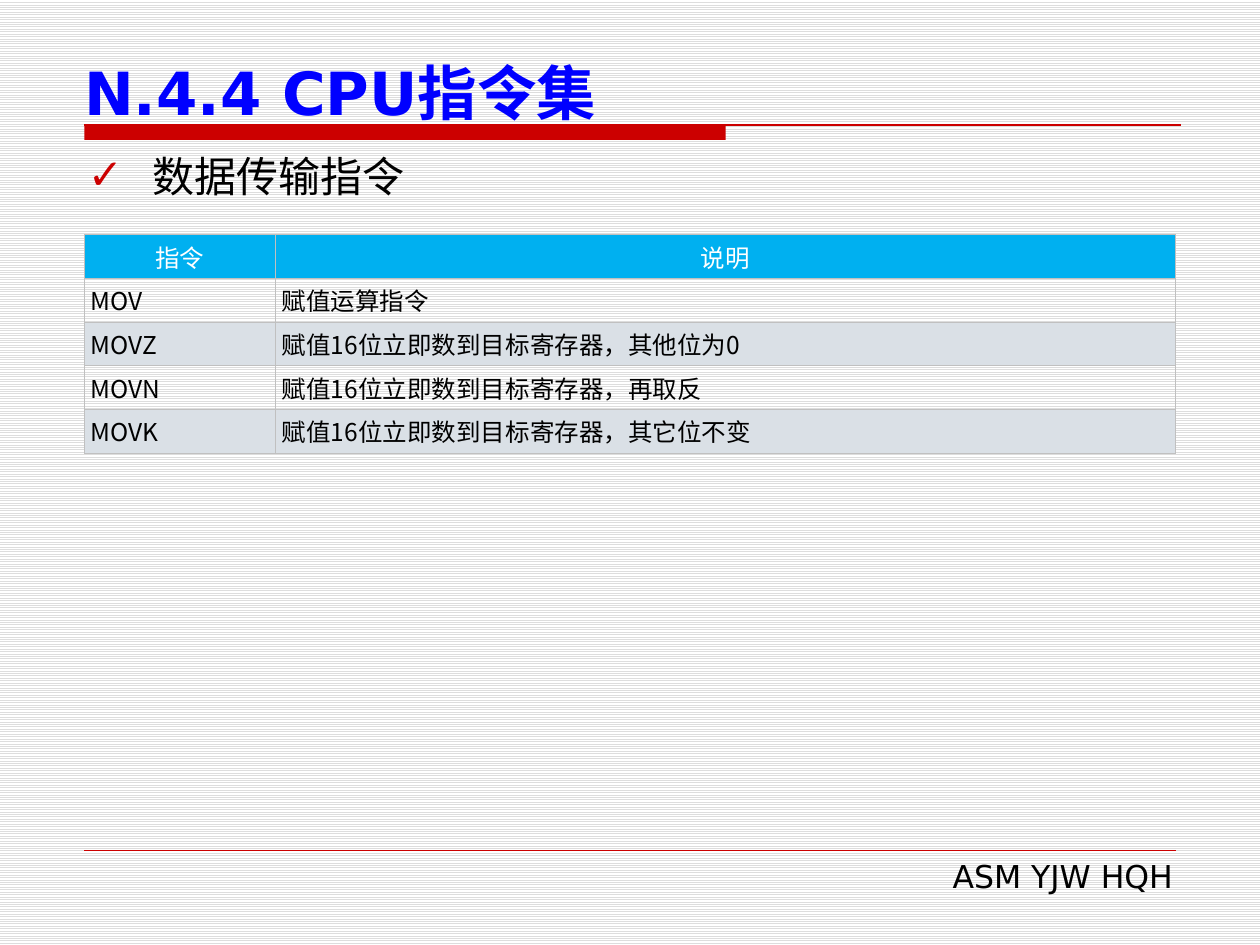
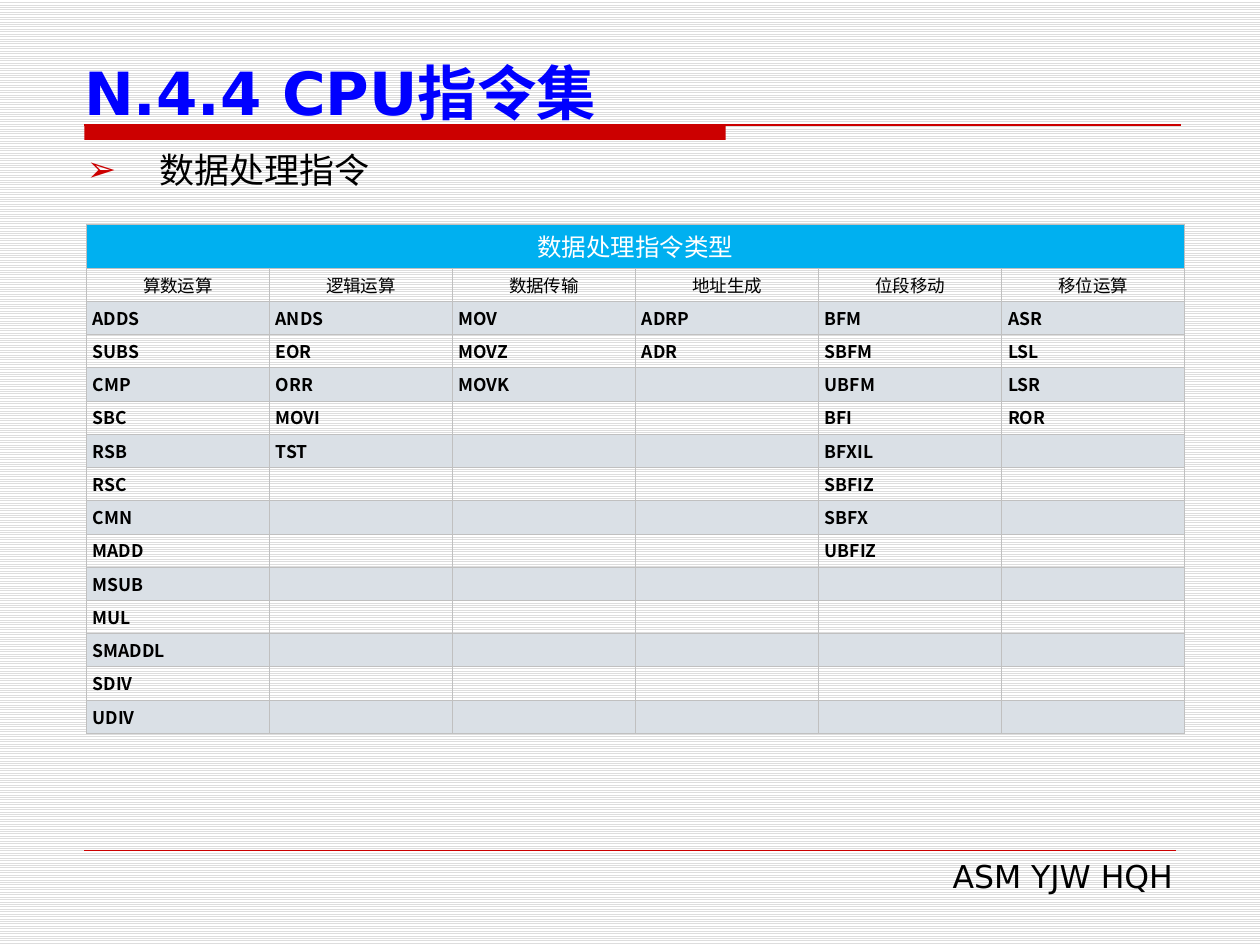
from itertools import zip_longest

from lxml import etree
from pptx import Presentation
from pptx import util as u
from pptx.dml.color import RGBColor
from pptx.enum import dml, shapes, text
from pptx.oxml.ns import qn

COLORS = {
    "red": "CC0000", "blue": "0000FF", "black": "000000", "white": "FFFFFF",
    "stripe": "DDDDDD", "header": "00B0F0", "band": "DAE0E6", "border": "C0C0C0",
}
LATIN, CJK = "DejaVu Sans", "Noto Sans CJK SC"
TITLE = "N.4.4 CPU指令集"
FOOTER = "ASM YJW HQH"
CENTER, RIGHT, JUSTIFY = (text.PP_ALIGN.CENTER, text.PP_ALIGN.RIGHT,
                          text.PP_ALIGN.JUSTIFY)

TRANSFER_ROWS = [
    ("MOV", "赋值运算指令"),
    ("MOVZ", "赋值16位立即数到目标寄存器，其他位为0"),
    ("MOVN", "赋值16位立即数到目标寄存器，再取反"),
    ("MOVK", "赋值16位立即数到目标寄存器，其它位不变"),
]
PROCESSING_GROUPS = {
    "算数运算": "ADDS SUBS CMP SBC RSB RSC CMN MADD MSUB MUL SMADDL SDIV UDIV",
    "逻辑运算": "ANDS EOR ORR MOVI TST",
    "数据传输": "MOV MOVZ MOVK",
    "地址生成": "ADRP ADR",
    "位段移动": "BFM SBFM UBFM BFI BFXIL SBFIZ SBFX UBFIZ",
    "移位运算": "ASR LSL LSR ROR",
}


def rgb(name):
    return RGBColor.from_string(COLORS[name])


def write(tf, content, size, font=CJK, color="black", bold=False, align=None):
    """Put one formatted run in the first paragraph of a text frame."""
    p = tf.paragraphs[0]
    p.alignment = align
    r = p.add_run()
    r.text = content
    r.font.name, r.font.size, r.font.bold = font, u.Pt(size), bold
    r.font.color.rgb = rgb(color)
    etree.SubElement(r.font._element, qn("a:ea"), typeface=CJK)
    return p


def add_text(slide, box, content, size, inset=(0.25, 0.13), anchor="TOP", **fmt):
    tf = slide.shapes.add_textbox(*map(u.Cm, box)).text_frame
    tf.word_wrap = True
    tf.margin_left = tf.margin_right = u.Cm(inset[0])
    tf.margin_top = tf.margin_bottom = u.Cm(inset[1])
    tf.vertical_anchor = text.MSO_ANCHOR[anchor]
    return write(tf, content, size, **fmt)


def add_rule(slide, left, top, width, weight):
    line = slide.shapes.add_connector(shapes.MSO_CONNECTOR.STRAIGHT, u.Cm(left),
                                      u.Cm(top), u.Cm(left + width), u.Cm(top))
    line.line.color.rgb = rgb("red")
    line.line.width = u.Pt(weight)
    etree.SubElement(line._element.spPr, qn("a:effectLst"))


def add_title(slide, left, top, width):
    rule_top = top + 1.34
    bar = slide.shapes.add_shape(shapes.MSO_SHAPE.RECTANGLE, u.Cm(left),
                                 u.Cm(rule_top), u.Cm(12.93), u.Cm(0.3))
    bar.shadow.inherit = False
    bar.fill.solid()
    bar.fill.fore_color.rgb = rgb("red")
    bar.line.fill.background()
    add_rule(slide, left, rule_top, width, 0.75)
    add_text(slide, (left, top, width, 1.35), TITLE, 34, inset=(0, 0),
             anchor="MIDDLE", font=LATIN, color="blue", bold=True)


def add_footer(slide, left, top, width):
    add_rule(slide, left, top, width, 0.25)
    add_text(slide, (left + 8, top, width - 7.8, 1), FOOTER, 18,
             font=LATIN, align=RIGHT)


def add_bullet(slide, box, content, size, mark, indent):
    p = add_text(slide, box, content, size, align=JUSTIFY)
    pPr = p._p.get_or_add_pPr()
    pPr.set("marL", str(u.Cm(indent)))
    pPr.set("indent", str(-u.Cm(indent)))
    bu_color = etree.SubElement(pPr, qn("a:buClr"))
    etree.SubElement(bu_color, qn("a:srgbClr"), val=COLORS["red"])
    etree.SubElement(pPr, qn("a:buFont"), typeface=LATIN)
    etree.SubElement(pPr, qn("a:buChar"), char=mark)
    return p


def add_borders(cell):
    tcPr = cell._tc.get_or_add_tcPr()
    for i, side in enumerate(("lnL", "lnR", "lnT", "lnB")):
        ln = etree.Element(qn(f"a:{side}"), w=str(u.Pt(0.38)))
        fill = etree.SubElement(ln, qn("a:solidFill"))
        etree.SubElement(fill, qn("a:srgbClr"), val=COLORS["border"])
        tcPr.insert(i, ln)


def fill_cell(cell, content, size, fill=None, **fmt):
    cell.margin_left = cell.margin_right = u.Cm(0.13)
    cell.margin_top = cell.margin_bottom = u.Cm(0.08)
    cell.vertical_anchor = text.MSO_ANCHOR.MIDDLE
    if fill:
        cell.fill.solid()
        cell.fill.fore_color.rgb = rgb(fill)
    else:
        cell.fill.background()
    add_borders(cell)
    if content:
        write(cell.text_frame, content, size, **fmt)
    else:  # an empty cell needs a small end mark, or its row grows
        etree.SubElement(cell.text_frame.paragraphs[0]._p, qn("a:endParaRPr"),
                         sz=str(size * 100))


def add_grid(slide, left, top, widths, heights):
    table = slide.shapes.add_table(
        len(heights), len(widths), u.Cm(left), u.Cm(top),
        u.Cm(sum(widths)), u.Cm(sum(heights))).table
    table.first_row = table.horz_banding = False
    for col, width in zip(table.columns, widths):
        col.width = u.Cm(width)
    for row, height in zip(table.rows, heights):
        row.height = u.Cm(height)
    return table


def fill_rows(table, rows, size, header_rows=1, **fmt):
    """Fill the rows below the blue header; every second one is shaded."""
    for i, row in enumerate(rows, header_rows):
        for j, content in enumerate(row):
            fill_cell(table.cell(i, j), content, size,
                      fill=None if i % 2 else "band", **fmt)


def fill_header(table, labels):
    for j, label in enumerate(labels):
        fill_cell(table.cell(0, j), label, 14, fill="header", color="white",
                  align=CENTER)


def add_transfer_table(slide, left, top):
    table = add_grid(slide, left, top, [3.85, 18.15], [0.88] * 5)
    fill_header(table, ("指令", "说明"))
    fill_rows(table, TRANSFER_ROWS, 14)


def add_processing_table(slide, left, top):
    groups = [names.split() for names in PROCESSING_GROUPS.values()]
    rows = list(zip_longest(*groups, fillvalue=""))
    count = len(groups)
    table = add_grid(slide, left, top, [3.69] * count,
                     [0.88] + [0.67] * (len(rows) + 1))
    fill_header(table, ["数据处理指令类型"] + [""] * (count - 1))
    table.cell(0, 0).merge(table.cell(0, count - 1))
    fill_rows(table, [PROCESSING_GROUPS], 10, align=CENTER)
    fill_rows(table, rows, 10, header_rows=2, bold=True)


def add_base_slide(prs):
    slide = prs.slides.add_slide(prs.slide_layouts[6])
    fill = slide.background.fill
    fill.patterned()
    fill.pattern = dml.MSO_PATTERN.LIGHT_HORIZONTAL
    fill.fore_color.rgb, fill.back_color.rgb = rgb("stripe"), rgb("white")
    add_title(slide, 1.7, 1.18, 22.1)
    add_footer(slide, 1.7, 17.14, 22)
    return slide


def build_transfer_slide(prs):
    slide = add_base_slide(prs)
    add_bullet(slide, (1.52, 2.9, 22.35, 1.5), "数据传输指令", 24, "✓", 1.3)
    add_transfer_table(slide, 1.7, 4.73)


def build_processing_slide(prs):
    slide = add_base_slide(prs)
    p = add_bullet(slide, (1.5, 2.92, 22.35, 1.5), "数据处理指令", 20, "➢", 1.47)
    p.line_spacing = u.Pt(22.5)
    add_processing_table(slide, 1.74, 4.52)


def main():
    prs = Presentation()
    prs.slide_width, prs.slide_height = u.Cm(25.4), u.Cm(19.05)
    build_transfer_slide(prs)
    build_processing_slide(prs)
    prs.save("out.pptx")


if __name__ == "__main__":
    main()
